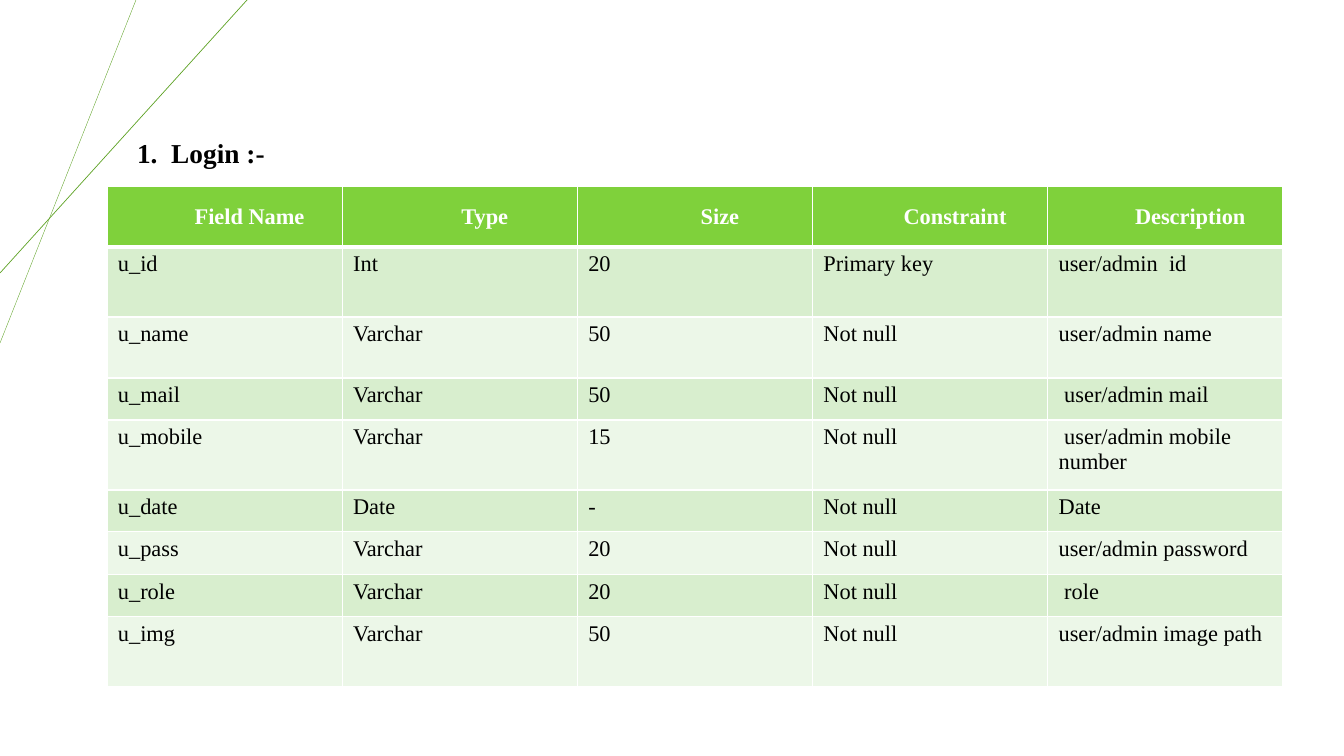
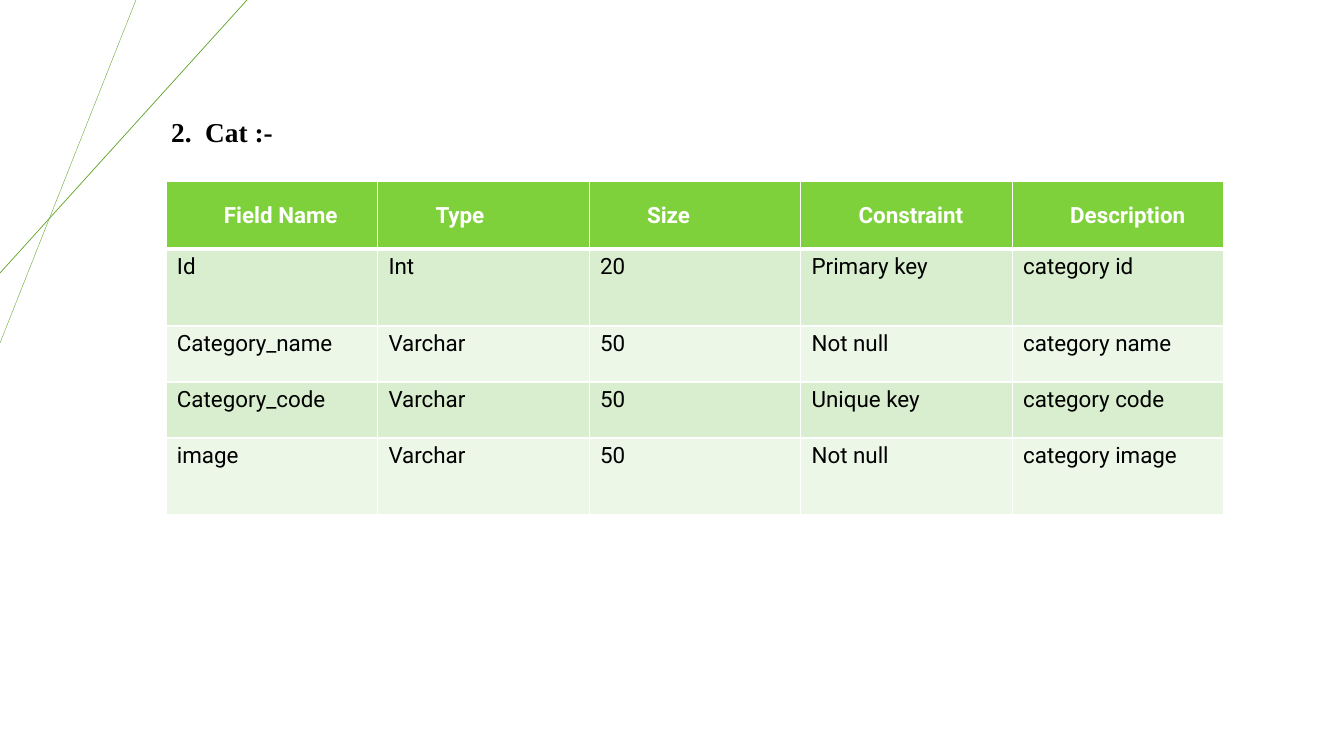
from lxml import etree
from pptx import Presentation
from pptx.dml.color import RGBColor
from pptx.enum.shapes import MSO_CONNECTOR
from pptx.enum.text import MSO_ANCHOR, MSO_AUTO_SIZE, PP_ALIGN
from pptx.oxml.ns import qn
from pptx.util import Pt

STRAIGHT = MSO_CONNECTOR.STRAIGHT
TOP, MIDDLE = MSO_ANCHOR.TOP, MSO_ANCHOR.MIDDLE
LEFT, CENTER = PP_ALIGN.LEFT, PP_ALIGN.CENTER
NO_AUTOFIT = MSO_AUTO_SIZE.NONE

EMU_PER_PX = 914400 / 100.8
SLIDE_WIDTH, SLIDE_HEIGHT = 1344, 756
TITLE_ONLY = 5

WHITE = RGBColor(0xFF, 0xFF, 0xFF)
BLACK = RGBColor(0x00, 0x00, 0x00)
LINE_GREEN = RGBColor(0x5F, 0xA3, 0x26)
HEADER_GREEN = RGBColor(0x7F, 0xD1, 0x3B)
BAND_GREENS = (RGBColor(0xD8, 0xEE, 0xCE), RGBColor(0xEC, 0xF7, 0xE8))

SERIF = "Times New Roman"
SANS = "Roboto"
THIN, THICK = 1, 3
HEADER_INDENT = 50
DECORATION_LINES = (((136, 0), (0, 343), 0.25), ((247, 0), (0, 273), 0.5))
HEADERS = ("Field Name", "Type", "Size", "Constraint", "Description")

TITLE_FRAME = {"word_wrap": True, "auto_size": NO_AUTOFIT, "vertical_anchor": TOP}
TITLE_PARAGRAPH = {"alignment": LEFT, "line_spacing": 1.07, "space_after": Pt(8.7)}
TITLE_FONT = {"name": SERIF, "size": Pt(19.5), "bold": True}

LOGIN = {
    "title": "1.  Login :-",
    "title_box": (127, 129, 282, 45),
    "table_box": (107, 186, 1176),
    "row_heights": (61, 70, 61, 42, 70, 42, 43, 42, 70),
    "font_name": SERIF,
    "header_alignment": CENTER,
    "fields": (
        ("u_id", "Int", "20", "Primary key", "user/admin  id"),
        ("u_name", "Varchar", "50", "Not null", "user/admin name"),
        ("u_mail", "Varchar", "50", "Not null", " user/admin mail"),
        ("u_mobile", "Varchar", "15", "Not null", " user/admin mobile number"),
        ("u_date", "Date", "-", "Not null", "Date"),
        ("u_pass", "Varchar", "20", "Not null", "user/admin password"),
        ("u_role", "Varchar", "20", "Not null", " role"),
        ("u_img", "Varchar", "50", "Not null", "user/admin image path"),
    ),
}
CATEGORY = {
    "title": "2.  Cat :-",
    "title_box": (161, 108, 434, 45),
    "table_box": (166, 181, 1058),
    "row_heights": (68, 77, 56, 56, 77),
    "font_name": SANS,
    "header_alignment": LEFT,
    "fields": (
        ("Id", "Int", "20", "Primary key", "category id"),
        ("Category_name", "Varchar", "50", "Not null", "category name"),
        ("Category_code", "Varchar", "50", "Unique key", "category code"),
        ("image", "Varchar", "50", "Not null", "category image"),
    ),
}


def px(length):
    return round(length * EMU_PER_PX)


def apply_format(target, values):
    for name, value in values.items():
        setattr(target, name, value)


def format_font(font, values, color):
    apply_format(font, values)
    font.color.rgb = color


def add_decoration(slide):
    layout_tree = slide.slide_layout.element.cSld.spTree
    for number, (start, end, width) in enumerate(DECORATION_LINES, 1):
        connector = slide.shapes.add_connector(STRAIGHT, *map(px, start + end))
        connector.line.color.rgb = LINE_GREEN
        connector.line.width = Pt(width)
        etree.SubElement(connector.element.spPr, qn("a:effectLst"))
        connector.name = f"Decoration line {number}"
        connector.element.nvCxnSpPr.cNvPr.set("id", str(100 + number))
        layout_tree.append(connector.element)


def add_title(slide, text, box):
    title = slide.shapes.title
    apply_format(title, dict(zip(("left", "top", "width", "height"), map(px, box))))
    apply_format(title.text_frame, TITLE_FRAME)
    title.text_frame.text = text
    paragraph = title.text_frame.paragraphs[0]
    apply_format(paragraph, TITLE_PARAGRAPH)
    format_font(paragraph.font, TITLE_FONT, BLACK)


def add_borders(cell, row_index):
    top = THICK if row_index == 1 else THIN
    bottom = THICK if row_index == 0 else THIN
    properties = cell._tc.get_or_add_tcPr()
    for side, width in (("L", THIN), ("R", THIN), ("T", top), ("B", bottom)):
        border = etree.SubElement(properties, qn(f"a:ln{side}"), w=str(Pt(width)))
        fill = etree.SubElement(border, qn("a:solidFill"))
        etree.SubElement(fill, qn("a:srgbClr"), val=str(WHITE))


def fill_cell(cell, text, row_index, font_name, header_alignment):
    is_header = row_index == 0
    horizontal, vertical = (px(8), 0) if is_header else (px(11), px(5))
    add_borders(cell, row_index)
    cell.fill.solid()
    cell.fill.fore_color.rgb = HEADER_GREEN if is_header else BAND_GREENS[(row_index - 1) % 2]
    apply_format(cell, {
        "text": text,
        "vertical_anchor": MIDDLE if is_header else TOP,
        "margin_left": horizontal,
        "margin_right": horizontal,
        "margin_top": vertical,
        "margin_bottom": vertical,
    })
    paragraph = cell.text_frame.paragraphs[0]
    if is_header:
        apply_format(paragraph, {"alignment": header_alignment, "line_spacing": 1.07})
        paragraph_properties = paragraph._p.get_or_add_pPr()
        paragraph_properties.set("marL", str(px(HEADER_INDENT)))
        paragraph_properties.set("indent", "0")
    font_values = {"name": font_name, "size": Pt(16), "bold": is_header}
    format_font(paragraph.runs[0].font, font_values, WHITE if is_header else BLACK)


def add_field_table(slide, box, row_heights, fields, font_name, header_alignment):
    rows = (HEADERS,) + fields
    left, top, width = box
    bounds = map(px, (left, top, width, sum(row_heights)))
    table = slide.shapes.add_table(len(rows), len(HEADERS), *bounds).table
    table.horz_banding = False
    for row_index, (values, height) in enumerate(zip(rows, row_heights)):
        table.rows[row_index].height = px(height)
        for column_index, text in enumerate(values):
            cell = table.cell(row_index, column_index)
            fill_cell(cell, text, row_index, font_name, header_alignment)


def add_schema_slide(presentation, schema):
    slide = presentation.slides.add_slide(presentation.slide_layouts[TITLE_ONLY])
    add_title(slide, schema["title"], schema["title_box"])
    add_field_table(slide, schema["table_box"], schema["row_heights"], schema["fields"],
                    schema["font_name"], schema["header_alignment"])
    return slide


def main():
    presentation = Presentation()
    presentation.slide_width = px(SLIDE_WIDTH)
    presentation.slide_height = px(SLIDE_HEIGHT)
    slides = [add_schema_slide(presentation, schema) for schema in (LOGIN, CATEGORY)]
    add_decoration(slides[0])
    presentation.save("out.pptx")


if __name__ == "__main__":
    main()
